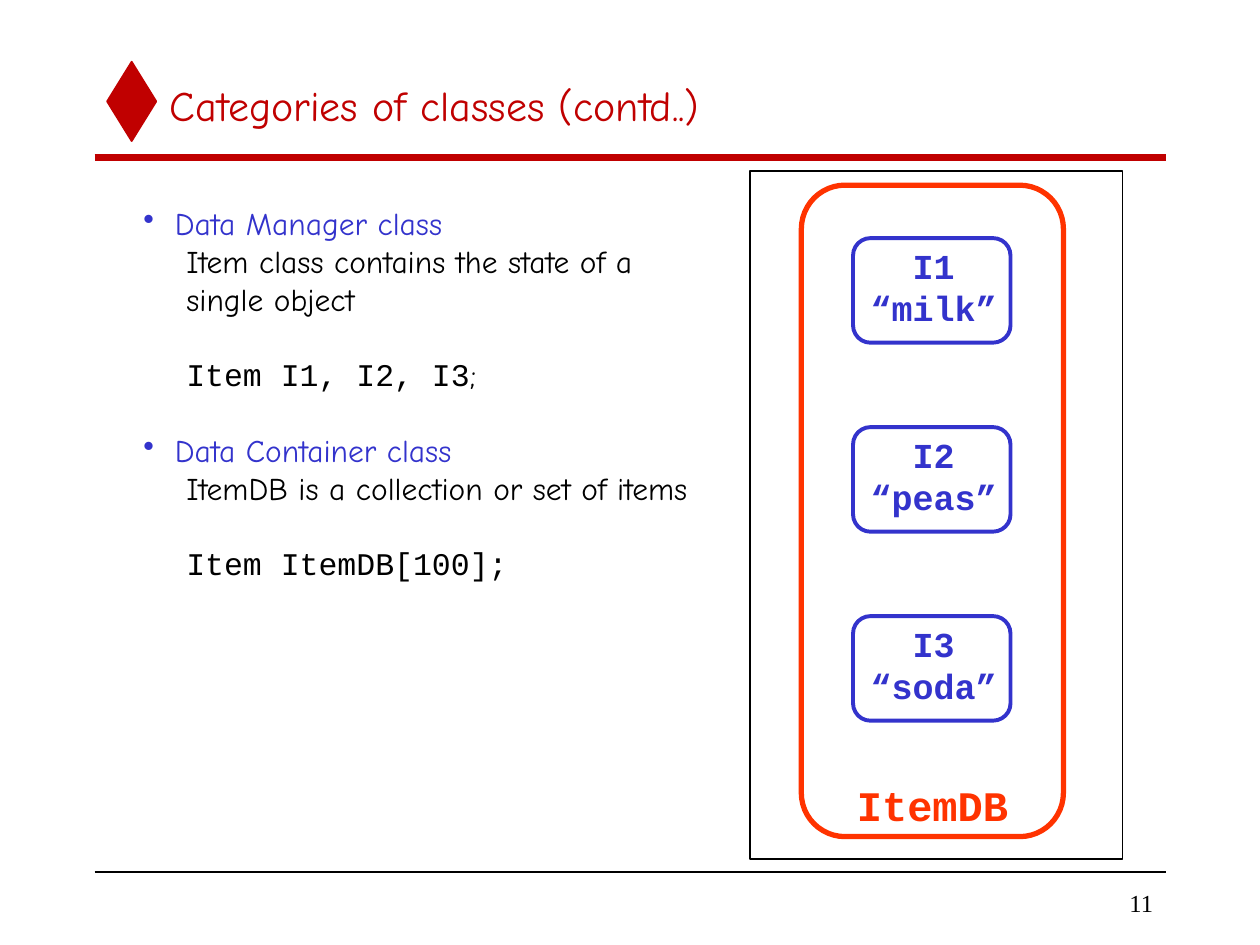
from lxml import etree
from pptx import Presentation
from pptx.dml.color import RGBColor
from pptx.enum.shapes import MSO_CONNECTOR, MSO_SHAPE
from pptx.enum.text import MSO_ANCHOR, PP_ALIGN
from pptx.oxml.ns import qn
from pptx.util import Inches, Pt

STRAIGHT = MSO_CONNECTOR.STRAIGHT
DIAMOND, RECT, ROUNDED = MSO_SHAPE.DIAMOND, MSO_SHAPE.RECTANGLE, MSO_SHAPE.ROUNDED_RECTANGLE
TOP, MIDDLE = MSO_ANCHOR.TOP, MSO_ANCHOR.MIDDLE
LEFT, CENTER, RIGHT = PP_ALIGN.LEFT, PP_ALIGN.CENTER, PP_ALIGN.RIGHT

RED = RGBColor(0xC0, 0x00, 0x00)
BLUE = RGBColor(0x33, 0x33, 0xCC)
ORANGE = RGBColor(0xFF, 0x33, 0x00)
BLACK = RGBColor(0x00, 0x00, 0x00)
WHITE = RGBColor(0xFF, 0xFF, 0xFF)
HAND, CODE, SERIF = "Comic Neue", "Courier New", "Times New Roman"

prs = Presentation()
prs.slide_width, prs.slide_height = Inches(10), Inches(7.5)
slide = prs.slides.add_slide(prs.slide_layouts[6])

# Grid of 100 columns by 75 rows
COL = prs.slide_width / 100
ROW = prs.slide_height / 75


def add_outline(kind, left, top, width, height, color, weight, fill=None):
    shape = slide.shapes.add_shape(kind, int(left * COL), int(top * ROW),
                                   int(width * COL), int(height * ROW))
    shape.shadow.inherit = False
    if fill is None:
        shape.fill.background()
    else:
        shape.fill.solid()
        shape.fill.fore_color.rgb = fill
    shape.line.color.rgb = color
    shape.line.width = Pt(weight)
    return shape


def add_label(text, left, top, width, height, font, size, color, align, anchor, bold=False):
    frame = slide.shapes.add_textbox(int(left * COL), int(top * ROW),
                                     int(width * COL), int(height * ROW)).text_frame
    frame.word_wrap = True
    frame.vertical_anchor = anchor
    line = frame.paragraphs[0]
    line.text = text
    line.alignment = align
    line.font.name, line.font.size = font, Pt(size)
    line.font.color.rgb, line.font.bold = color, bold


# Header mark, rules and page number
add_outline(DIAMOND, 8.5, 4.9, 3.9, 6.3, RED, 1, RED)
for row, color, weight in [(12.5, RED, 4), (69.2, BLACK, 1)]:
    rule = slide.shapes.add_connector(STRAIGHT, int(7.5 * COL), int(row * ROW),
                                      int(92.5 * COL), int(row * ROW))
    rule.line.color.rgb = color
    rule.line.width = Pt(weight)
    etree.SubElement(rule._element.spPr, qn("a:effectLst"))
add_label("11", 78.3, 70, 14.2, 3.3, SERIF, 14, BLACK, RIGHT, MIDDLE)
add_label("Categories of classes (contd..)", 12.5, 5, 80, 6.7, HAND, 24, RED, LEFT, MIDDLE)

# Diagram: items inside the ItemDB container
add_outline(RECT, 59.5, 13.6, 29.6, 54.6, BLACK, 1, WHITE)
for index, product in enumerate(["milk", "peas", "soda"]):
    item = add_outline(ROUNDED, 67.7, 18.9 + 15 * index, 12.5, 8.3, BLUE, 2.25)
    frame = item.text_frame
    frame.word_wrap = False
    frame.vertical_anchor = TOP
    frame.margin_left, frame.margin_right = Inches(0.03), 0
    frame.margin_top = frame.margin_bottom = Inches(0.01)
    frame.text = f"I{index + 1}\n“{product}”"
    for line in frame.paragraphs:
        line.alignment = CENTER
        line.font.name, line.font.size = CODE, Pt(20)
        line.font.color.rgb, line.font.bold = BLUE, True
add_outline(ROUNDED, 63.6, 14.7, 20.8, 51.7, ORANGE, 3)
add_label("ItemDB", 66.4, 61.4, 15.2, 5, CODE, 24, ORANGE, CENTER, TOP, True)

# Explanation: (runs of text and font, is a heading, starts after a gap)
explanation = [
    ([("Data Manager class", HAND)], True, False),
    ([("Item class contains the state of a", HAND)], False, False),
    ([("single object", HAND)], False, False),
    ([("Item I1, I2, I3", CODE), (";", HAND)], False, True),
    ([("Data Container class", HAND)], True, True),
    ([("ItemDB is a collection or set of items", HAND)], False, False),
    ([("Item ItemDB[100];", CODE)], False, True),
]
LINE_PITCH = Pt(21.6)
body = slide.shapes.add_textbox(int(10.4 * COL), int(15.7 * ROW),
                                int(47 * COL), int(31 * ROW)).text_frame
body.word_wrap = True
for index, (runs, heading, gap) in enumerate(explanation):
    line = body.add_paragraph() if index else body.paragraphs[0]
    line.line_spacing = LINE_PITCH
    line.space_before = LINE_PITCH if gap else 0
    line.font.size = Pt(18)
    line.font.color.rgb = BLUE if heading else BLACK
    for text, font in runs:
        run = line.add_run()
        run.text, run.font.name = text, font
    properties = line._p.get_or_add_pPr()
    indent = int((2.5 if heading else 3.4) * COL)
    properties.set("marL", str(indent))
    properties.set("indent", str(-indent if heading else 0))
    if heading:
        bullet = etree.Element(qn("a:buChar"), char="•")
        properties.find(qn("a:spcBef")).addnext(bullet)

prs.save("out.pptx")
